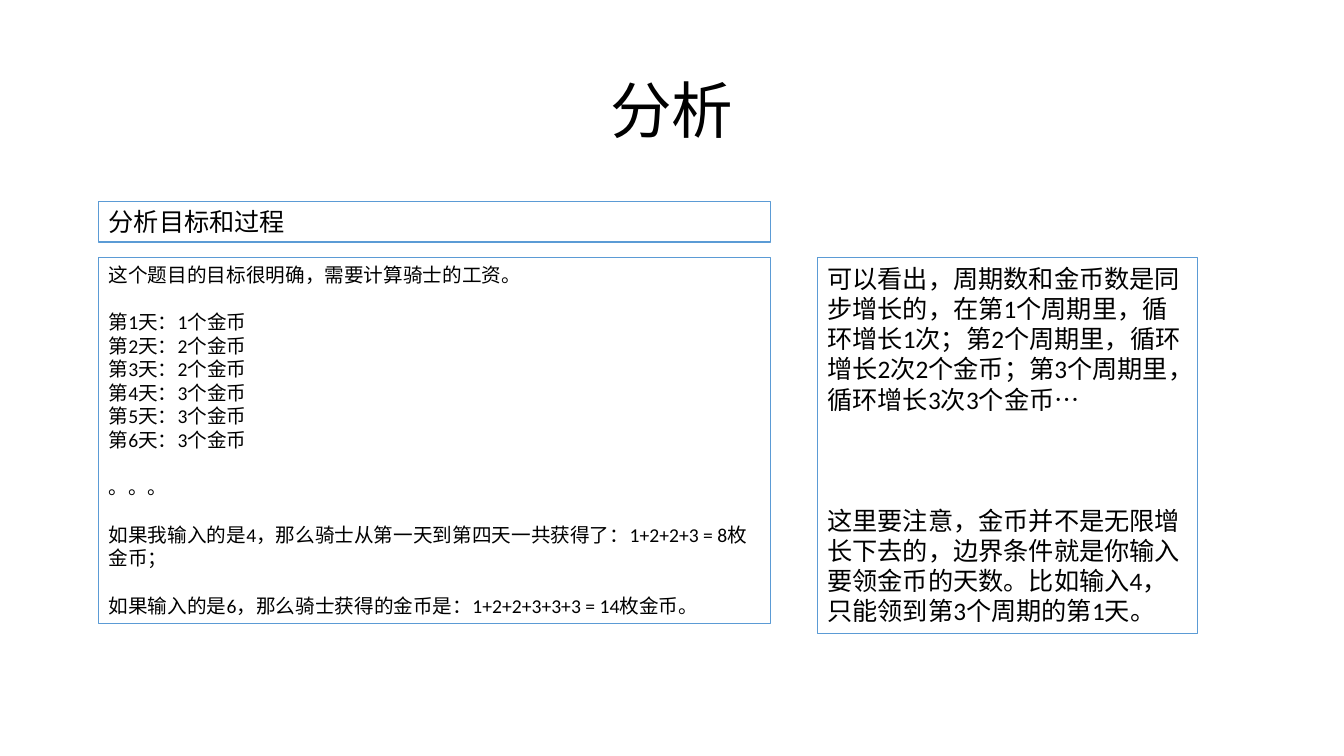
from pptx import Presentation
from pptx.dml.color import RGBColor
from pptx.enum.shapes import MSO_SHAPE
from pptx.enum.text import MSO_ANCHOR, MSO_AUTO_SIZE, PP_ALIGN
from pptx.util import Cm, Pt

# Content: each text is a list of blocks, each block a list of paragraphs
TITLE = "分析"
HEADING = [["分析目标和过程"]]
DAILY_COINS = [1, 2, 2, 3, 3, 3]
PROCESS = [
    ["这个题目的目标很明确，需要计算骑士的工资。"],
    [f"第{day}天：{coins}个金币" for day, coins in enumerate(DAILY_COINS, 1)],
    ["。。。"],
    ["如果我输入的是4，那么骑士从第一天到第四天一共获得了：1+2+2+3 = 8枚金币；"],
    ["如果输入的是6，那么骑士获得的金币是：1+2+2+3+3+3 = 14枚金币。"],
]
FINDINGS = [
    ["可以看出，周期数和金币数是同步增长的，在第1个周期里，循环增长1次；"
     "第2个周期里，循环增长2次2个金币；第3个周期里，循环增长3次3个金币…"],
    ["这里要注意，金币并不是无限增长下去的，边界条件就是你输入要领金币的天数。"
     "比如输入4，只能领到第3个周期的第1天。"],
]

THEME = {
    "font": "Calibri",
    "text": RGBColor(0x00, 0x00, 0x00),
    "border": RGBColor(0x5B, 0x9B, 0xD5),
    "title": Pt(44),
    "large": Pt(18),
    "small": Pt(14),
}

# Layout: two columns sharing one top edge, in cm
LEFT, LEFT_W = 2.49, 16.94
RIGHT, RIGHT_W = 20.6, 9.58
BODY_TOP = 6.5

# left, top, width, height, text, size, gap between blocks
BOXES = [
    (LEFT, 5.08, LEFT_W, 1.02, HEADING, "large", 0),
    (LEFT, BODY_TOP, LEFT_W, 9.22, PROCESS, "small", 17),
    (RIGHT, BODY_TOP, RIGHT_W, 9.47, FINDINGS, "large", 65),
]


def style(p, size):
    p.font.name = THEME["font"]
    p.font.size = THEME[size]
    p.font.color.rgb = THEME["text"]


def add_box(s, left, top, width, height, blocks, size, gap):
    sp = s.shapes.add_shape(MSO_SHAPE.RECTANGLE, Cm(left), Cm(top), Cm(width), Cm(height))
    sp.shadow.inherit = False
    sp.fill.background()
    sp.line.color.rgb = THEME["border"]
    sp.line.width = Pt(0.75)
    tf = sp.text_frame
    tf.word_wrap = True
    tf.auto_size = MSO_AUTO_SIZE.SHAPE_TO_FIT_TEXT
    tf.vertical_anchor = MSO_ANCHOR.TOP
    tf.text = "\n".join(text for block in blocks for text in block)
    starts = [i == 0 for block in blocks for i in range(len(block))]
    for n, (p, starts_block) in enumerate(zip(tf.paragraphs, starts)):
        p.alignment = PP_ALIGN.LEFT
        style(p, size)
        if n and starts_block:
            p.space_before = Pt(gap)


prs = Presentation()
prs.slide_width, prs.slide_height = Cm(33.87), Cm(19.05)
s = prs.slides.add_slide(prs.slide_layouts[6])

# Title
tf = s.shapes.add_textbox(Cm(2.33), Cm(1.01), Cm(29.21), Cm(3.68)).text_frame
tf.word_wrap = True
tf.vertical_anchor = MSO_ANCHOR.MIDDLE
p = tf.paragraphs[0]
p.text = TITLE
p.alignment = PP_ALIGN.CENTER
p.line_spacing = 0.9
style(p, "title")

# Outlined text boxes
for box in BOXES:
    add_box(s, *box)

prs.save("out.pptx")
